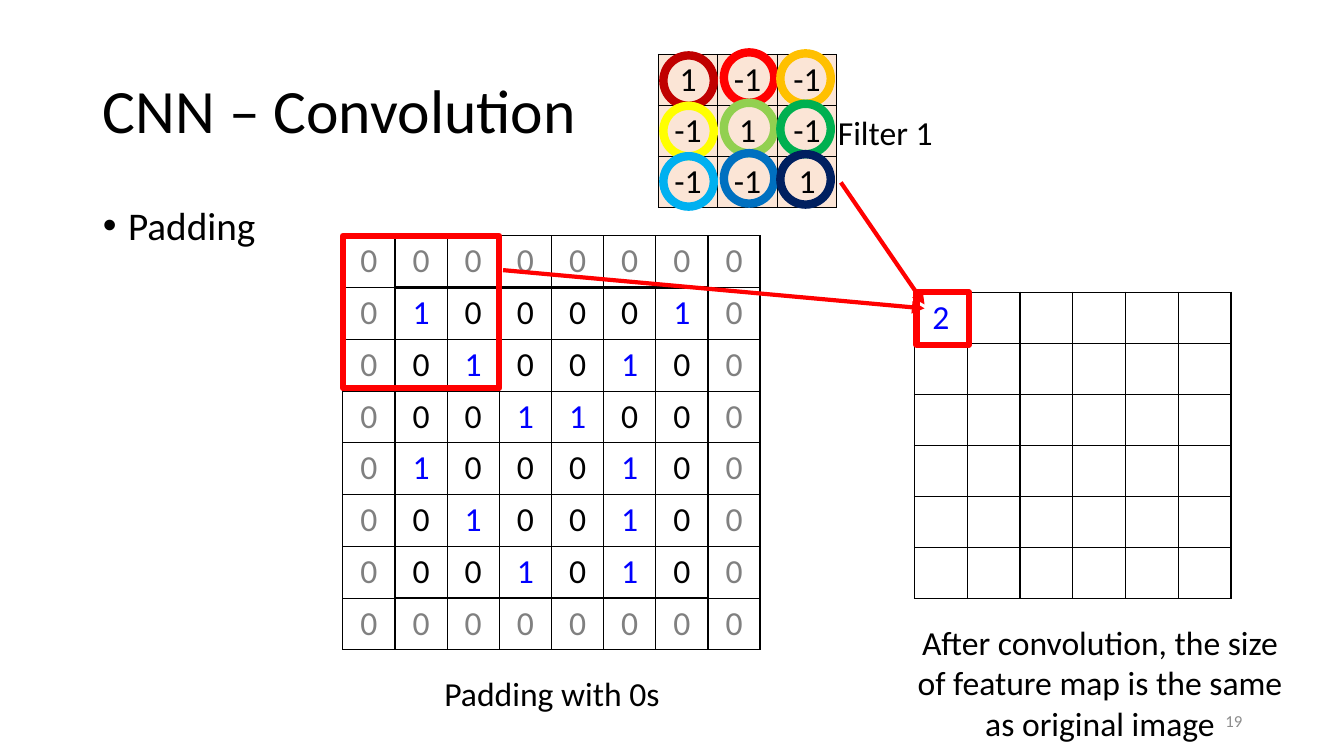
import dataclasses
import pptx
import pptx.dml.color
import pptx.enum.shapes
import pptx.enum.text
import pptx.oxml
import pptx.oxml.ns
import pptx.util
from pptx.util import Inches

Align = pptx.enum.text.PP_ALIGN
Anchor = pptx.enum.text.MSO_ANCHOR
Shape = pptx.enum.shapes.MSO_SHAPE


@dataclasses.dataclass(frozen=True)
class Theme:
    font: str = "Calibri"
    ink: str = "000000"
    blue: str = "0000FF"
    red: str = "FF0000"
    gray: str = "808080"
    pale: str = "8C8C8C"
    peach: str = "FBE5D6"
    rings: tuple = (
        ("C00000", "FF0000", "FFC000"),
        ("FFFF00", "92D050", "00B050"),
        ("00B0F0", "0070C0", "002060"),
    )
    title: float = 44
    body: float = 28
    label: float = 24
    small: float = 12
    thin: float = 1
    thick: float = 2.25
    arrow: float = 3
    frame: float = 4.5
    ring: float = 6


theme = Theme()
IMAGE = ("100001", "010010", "001100", "100010", "010010", "001010")
FILTER = ((1, -1, -1), (-1, 1, -1), (-1, -1, 1))


def color(value):
    return pptx.dml.color.RGBColor.from_string(value)


def node(parent, tag, **attrs):
    child = pptx.oxml.ns.qn(tag)
    item = parent.makeelement(child, attrs)
    parent.append(item)
    return item


def write(frame, words, size=theme.label, ink=theme.ink, align=Align.CENTER,
          anchor=Anchor.TOP, space=1.0, bullet=False):
    frame.word_wrap = True
    frame.vertical_anchor = anchor
    frame.auto_size = pptx.enum.text.MSO_AUTO_SIZE.NONE
    para = frame.paragraphs[0]
    para.alignment = align
    para.line_spacing = space
    para.space_before = pptx.util.Pt(0)
    if bullet:
        props = para._p.get_or_add_pPr()
        props.set("marL", str(Inches(0.25)))
        props.set("indent", str(-Inches(0.25)))
        node(props, "a:buFont", typeface="Arial")
        node(props, "a:buChar", char="•")
    run = para.add_run()
    run.text = words
    run.font.name = theme.font
    run.font.size = pptx.util.Pt(size)
    run.font.color.rgb = color(ink)


def label(slide, box, words, **style):
    area = slide.shapes.add_textbox(*map(Inches, box))
    write(area.text_frame, words, **style)


def holder(shape, box, words, **style):
    shape.left, shape.top, shape.width, shape.height = map(Inches, box)
    write(shape.text_frame, words, align=Align.LEFT, space=0.9, **style)


def outline(slide, kind, box, ink, width):
    shape = slide.shapes.add_shape(kind, *map(Inches, box))
    shape.shadow.inherit = False
    shape.fill.background()
    shape.line.color.rgb = color(ink)
    shape.line.width = pptx.util.Pt(width)


def arrow(slide, start, end):
    line = slide.shapes.add_connector(
        pptx.enum.shapes.MSO_CONNECTOR.STRAIGHT, *map(Inches, start + end))
    line.line.color.rgb = color(theme.red)
    line.line.width = pptx.util.Pt(theme.arrow)
    node(line.line._get_or_add_ln(), "a:tailEnd", type="triangle")
    node(line._element.spPr, "a:effectLst")


def border(cell, side, width):
    line = node(cell._tc.get_or_add_tcPr(), "a:ln" + side,
                w=str(pptx.util.Pt(width)))
    node(node(line, "a:solidFill"), "a:srgbClr", val=theme.ink)


def grid(slide, box, rows, cols, value, inside=lambda row, col: False,
         fill=None):
    frame = slide.shapes.add_table(rows, cols, *map(Inches, box))
    table = frame.table
    table.first_row = table.horz_banding = False
    for line in table.rows:
        line.height = Inches(box[3] / rows)
    for line in table.columns:
        line.width = Inches(box[2] / cols)
    for row in range(rows):
        for col in range(cols):
            cell = table.cell(row, col)
            for side, down, right in (("L", 0, -1), ("R", 0, 1),
                                      ("T", -1, 0), ("B", 1, 0)):
                edge = inside(row, col) != inside(row + down, col + right)
                border(cell, side, theme.thick if edge else theme.thin)
            if fill:
                cell.fill.solid()
                cell.fill.fore_color.rgb = color(fill)
            else:
                cell.fill.background()
            words, ink = value(row, col)
            if words:
                para = cell.text_frame.paragraphs[0]
                para.alignment = Align.CENTER
                run = para.add_run()
                run.text = words
                run.font.name = theme.font
                run.font.size = pptx.util.Pt(theme.label)
                run.font.color.rgb = color(ink)


def image(slide, box):
    left, top, width, height = box
    side = len(IMAGE)

    def inside(row, col):
        return 1 <= row <= side and 1 <= col <= side

    def value(row, col):
        if not inside(row, col):
            return "0", theme.gray
        digit = IMAGE[row - 1][col - 1]
        return digit, theme.blue if digit == "1" else theme.ink

    grid(slide, box, side + 2, side + 2, value, inside)
    outline(slide, Shape.RECTANGLE, (left, top, 1.55, 1.51),
            theme.red, theme.frame)
    label(slide, (left + 0.86, top + height + 0.18, 2.43, 0.5),
          "Padding with 0s")


def feature(slide, box):
    left, top, width, height = box
    grid(slide, box, 6, 6,
         lambda row, col: ("" if row or col else "2", theme.blue))
    outline(slide, Shape.RECTANGLE, (left + 0.02, top, 0.52, 0.52),
            theme.red, theme.frame)
    label(slide, (left - 0.13, top + 3.22, 3.94, 1.31),
          "After convolution, the size of feature map is the same "
          "as original image")


def kernel(slide, box):
    left, top, width, height = box
    grid(slide, box, 3, 3,
         lambda row, col: (str(FILTER[row][col]), theme.ink),
         fill=theme.peach)
    shifts = ((0.05, 0.01), (0.65, -0.02), (1.21, -0.01))
    for row, inks in enumerate(theme.rings):
        for ink, (right, down) in zip(inks, shifts):
            outline(slide, Shape.OVAL,
                    (left + right, top + down + row * 0.5, 0.5, 0.5),
                    ink, theme.ring)
    label(slide, (left + 1.46, top + 0.52, 1.58, 0.5), "Filter 1")


def main():
    deck = pptx.Presentation()
    deck.slide_width = Inches(13.33)
    deck.slide_height = Inches(7.5)
    slide = deck.slides.add_slide(deck.slide_layouts[1])
    title, body = slide.placeholders
    holder(title, (0.92, 0.4, 11.5, 1.45), "CNN – Convolution",
           size=theme.title, anchor=Anchor.MIDDLE)
    holder(body, (0.92, 2, 11.5, 4.76), "Padding",
           size=theme.body, bullet=True)
    image(slide, (3.4, 2.34, 4.14, 4.11))
    feature(slide, (9.07, 2.9, 3.14, 3.04))
    kernel(slide, (6.53, 0.54, 1.77, 1.52))
    arrow(slide, (8.34, 1.81), (9.17, 3.02))
    arrow(slide, (4.99, 2.68), (9.17, 3.06))
    label(slide, (9.42, 6.95, 3, 0.4), "19", size=theme.small,
          ink=theme.pale, align=Align.RIGHT, anchor=Anchor.MIDDLE)
    deck.save("out.pptx")


if __name__ == "__main__":
    main()
